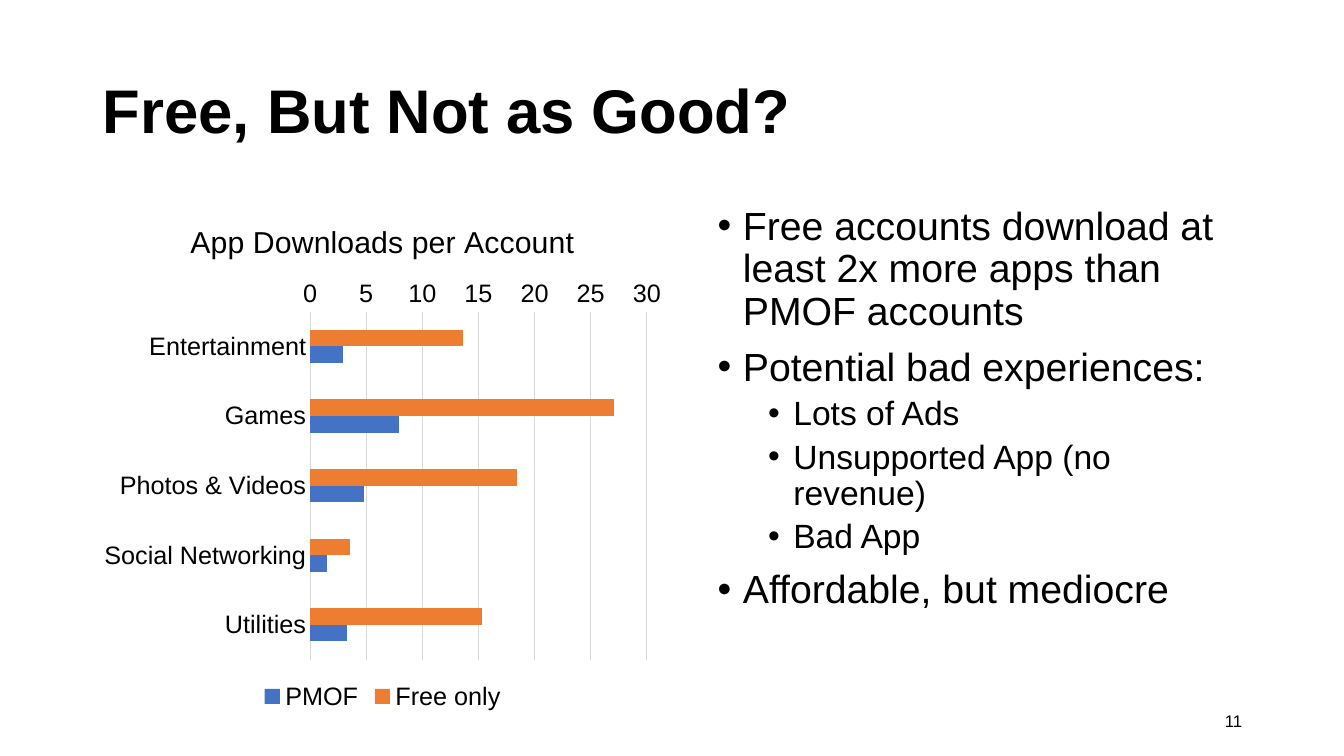
"""Build the slide comparing app downloads of free-only and PMOF accounts."""
import pptx
import pptx.chart.data
import pptx.dml.color
import pptx.enum.chart
import pptx.enum.text
import pptx.oxml.ns
import pptx.util
from lxml import etree

Inches = pptx.util.Inches
Pt = pptx.util.Pt
Anchor = pptx.enum.text.MSO_ANCHOR
Align = pptx.enum.text.PP_ALIGN


def color(value):
    return pptx.dml.color.RGBColor.from_string(value)


class SlideBuilder:
    font_name = "Arial"
    ink = "000000"
    grid = "D9D9D9"
    levels = [(28, 0.25, 10), (24, 0.75, 5)]

    def __init__(self, deck):
        self.page = deck.slides.add_slide(deck.slide_layouts[5])

    def style(self, font, size, bold=False):
        font.name = self.font_name
        font.size = Pt(size)
        font.bold = bold
        font.color.rgb = color(self.ink)

    def span(self, para, text, size, bold=False):
        run = para.add_run()
        run.text = text
        self.style(run.font, size, bold)

    def title(self, text, left, top, width, height):
        box = self.page.shapes.title
        box.left, box.top = Inches(left), Inches(top)
        box.width, box.height = Inches(width), Inches(height)
        frame = box.text_frame
        frame.word_wrap = True
        frame.vertical_anchor = Anchor.MIDDLE
        para = frame.paragraphs[0]
        para.alignment = Align.LEFT
        para.line_spacing = 0.9
        self.span(para, text, 44, True)

    def text_frame(self, left, top, width, height, anchor):
        box = self.page.shapes.add_textbox(
            Inches(left), Inches(top), Inches(width), Inches(height))
        frame = box.text_frame
        frame.word_wrap = True
        frame.vertical_anchor = anchor
        return frame

    def bullets(self, items, left, top, width, height):
        frame = self.text_frame(left, top, width, height, Anchor.TOP)
        for index, (level, text) in enumerate(items):
            size, indent, space = self.levels[level]
            para = frame.add_paragraph() if index else frame.paragraphs[0]
            para.level = level
            para.line_spacing = 0.9
            para.space_before = Pt(space if index else 0)
            properties = para._p.get_or_add_pPr()
            properties.set("marL", str(Inches(indent)))
            properties.set("indent", str(Inches(-0.25)))
            tag = pptx.oxml.ns.qn
            etree.SubElement(properties, tag("a:buFont"), typeface=self.font_name)
            etree.SubElement(properties, tag("a:buChar"), char="•")
            self.span(para, text, size)

    def page_number(self, text, left, top, width, height):
        frame = self.text_frame(left, top, width, height, Anchor.MIDDLE)
        para = frame.paragraphs[0]
        para.alignment = Align.RIGHT
        self.span(para, text, 12)

    def bar_chart(self, title, categories, series, left, top, width, height):
        kinds = pptx.enum.chart
        data = pptx.chart.data.CategoryChartData()
        data.categories = categories
        for name, values, fill in series:
            data.add_series(name, values)
        chart = self.page.shapes.add_chart(
            kinds.XL_CHART_TYPE.BAR_CLUSTERED, Inches(left), Inches(top),
            Inches(width), Inches(height), data).chart
        self.style(chart.font, 18)

        chart.has_title = True
        self.span(chart.chart_title.text_frame.paragraphs[0], title, 21.6)
        chart.chart_title.include_in_layout = False
        chart.has_legend = True
        chart.legend.position = kinds.XL_LEGEND_POSITION.BOTTOM
        chart.legend.include_in_layout = False
        self.style(chart.legend.font, 18)

        plot = chart.plots[0]
        plot.gap_width = 219
        plot.overlap = 0
        plot.vary_by_categories = False
        for bars, (name, values, fill) in zip(plot.series, series):
            bars.format.fill.solid()
            bars.format.fill.fore_color.rgb = color(fill)

        for axis in (chart.category_axis, chart.value_axis):
            axis.major_tick_mark = kinds.XL_TICK_MARK.NONE
            axis.minor_tick_mark = kinds.XL_TICK_MARK.NONE
            self.style(axis.tick_labels.font, 18)
        chart.category_axis.reverse_order = True
        chart.value_axis.minimum_scale = 0
        chart.value_axis.maximum_scale = 30
        chart.value_axis.major_unit = 5
        chart.value_axis.format.line.fill.background()
        gridlines = chart.value_axis.major_gridlines
        for line in (chart.category_axis.format.line, gridlines.format.line):
            line.color.rgb = color(self.grid)
            line.width = Pt(0.75)


def main():
    deck = pptx.Presentation()
    deck.slide_width = Inches(13.33)
    deck.slide_height = Inches(7.5)
    slide = SlideBuilder(deck)
    slide.title("Free, But Not as Good?", 0.92, 0.4, 11.5, 1.45)
    slide.bar_chart(
        "App Downloads per Account",
        ["Entertainment", "Games", "Photos & Videos", "Social Networking", "Utilities"],
        [("Free only", (13.6, 27.1, 18.4, 3.6, 15.3), "ED7D31"),
         ("PMOF", (2.9, 7.9, 4.8, 1.5, 3.3), "4472C4")],
        0.92, 2, 5.75, 5.1)
    slide.bullets(
        [(0, "Free accounts download at least 2x more apps than PMOF accounts"),
         (0, "Potential bad experiences:"),
         (1, "Lots of Ads"),
         (1, "Unsupported App (no revenue)"),
         (1, "Bad App"),
         (0, "Affordable, but mediocre")],
        7.02, 2, 5.39, 4.76)
    slide.page_number("11", 9.42, 6.95, 3, 0.4)
    deck.save("out.pptx")


if __name__ == "__main__":
    main()
